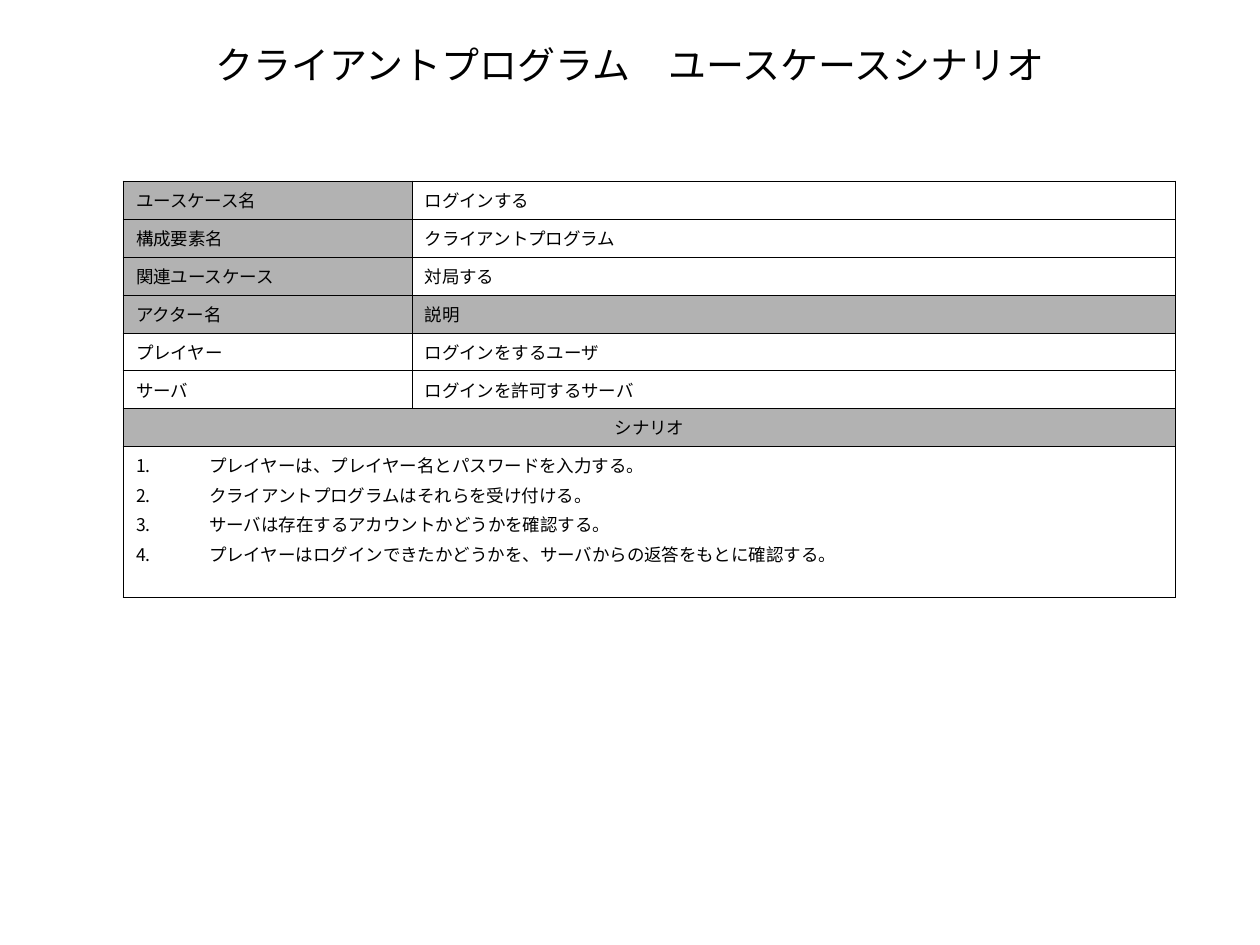
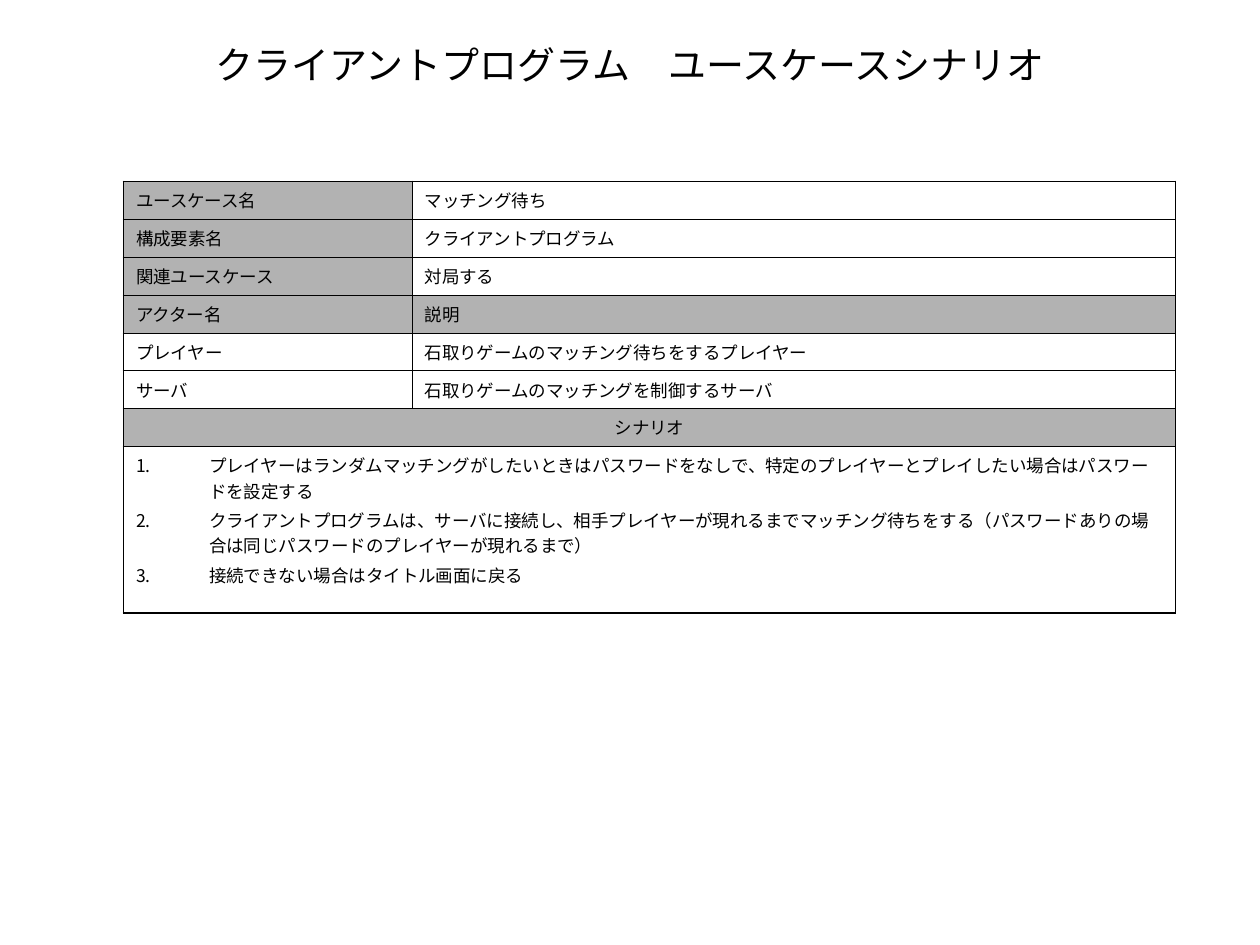
"""Build two use case scenario slides, each with a title and a bordered table."""
from lxml.etree import SubElement
from pptx import Presentation
from pptx.dml.color import RGBColor
from pptx.enum.text import MSO_ANCHOR, MSO_AUTO_SIZE, PP_ALIGN
from pptx.oxml.ns import qn
from pptx.util import Inches, Pt

TITLE = "クライアントプログラム　ユースケースシナリオ"
SCENARIO_HEADING = "シナリオ"
USE_CASES = [
    {
        "name": "ログインする",
        "player": "ログインをするユーザ",
        "server": "ログインを許可するサーバ",
        "steps": [
            "プレイヤーは、プレイヤー名とパスワードを入力する。",
            "クライアントプログラムはそれらを受け付ける。",
            "サーバは存在するアカウントかどうかを確認する。",
            "プレイヤーはログインできたかどうかを、サーバからの返答をもとに確認する。",
        ],
        "steps_height": 1.2,
    },
    {
        "name": "マッチング待ち",
        "player": "石取りゲームのマッチング待ちをするプレイヤー",
        "server": "石取りゲームのマッチングを制御するサーバ",
        "steps": [
            "プレイヤーはランダムマッチングがしたいときはパスワードをなしで、"
            "特定のプレイヤーとプレイしたい場合はパスワードを設定する",
            "クライアントプログラムは、サーバに接続し、相手プレイヤーが現れるまで"
            "マッチング待ちをする（パスワードありの場合は同じパスワードのプレイヤーが現れるまで）",
            "接続できない場合はタイトル画面に戻る",
        ],
        "steps_height": 1.32,
    },
]

FONT = "Times New Roman"
BLACK, HEADER_GRAY = "000000", "B2B2B2"
THICK, THIN = 1.08, 0.45
SLIDE_SIZE = (10, 7.5)
TITLE_BOX = (0.75, 0.27, 8.5, 0.48)
TABLE_ORIGIN = (0.98, 1.44)
COLUMN_WIDTHS = (2.29, 6.06)
ROW_HEIGHT = 0.27
STEP_INDENT = 0.58


def color(hex_string):
    return RGBColor.from_string(hex_string)


def format_text(text_frame, size, alignment):
    for paragraph in text_frame.paragraphs:
        paragraph.alignment = alignment
        for run in paragraph.runs:
            run.font.name = FONT
            run.font.size = Pt(size)
            run.font.color.rgb = color(BLACK)


def add_title(slide):
    title = slide.shapes.title
    title.left, title.top, title.width, title.height = map(Inches, TITLE_BOX)
    frame = title.text_frame
    frame.text = TITLE
    frame.auto_size = MSO_AUTO_SIZE.NONE
    frame.vertical_anchor = MSO_ANCHOR.MIDDLE
    format_text(frame, 21.7, PP_ALIGN.CENTER)


def set_borders(cell, widths):
    properties = cell._tc.get_or_add_tcPr()
    for side, width in widths.items():
        line = SubElement(properties, qn(f"a:ln{side}"), w=str(int(Pt(width))))
        fill = SubElement(line, qn("a:solidFill"))
        SubElement(fill, qn("a:srgbClr"), val=BLACK)


def number_steps(text_frame):
    indent = Inches(STEP_INDENT)
    for paragraph in text_frame.paragraphs:
        properties = paragraph._p.get_or_add_pPr()
        properties.set("marL", str(indent))
        properties.set("indent", str(-indent))
        SubElement(properties, qn("a:buAutoNum"), type="arabicPeriod")


def table_rows(use_case):
    """Return each row as its cell texts and the number of gray cells."""
    return [
        (("ユースケース名", use_case["name"]), 1),
        (("構成要素名", "クライアントプログラム"), 1),
        (("関連ユースケース", "対局する"), 1),
        (("アクター名", "説明"), 2),
        (("プレイヤー", use_case["player"]), 0),
        (("サーバ", use_case["server"]), 0),
        ((SCENARIO_HEADING,), 2),
        (("\n".join(use_case["steps"]),), 0),
    ]


def add_use_case_table(slide, use_case):
    rows = table_rows(use_case)
    last_row, last_column = len(rows) - 1, len(COLUMN_WIDTHS) - 1
    heights = [ROW_HEIGHT] * last_row + [use_case["steps_height"]]
    size = (sum(COLUMN_WIDTHS), sum(heights))
    table = slide.shapes.add_table(
        len(rows), len(COLUMN_WIDTHS), *map(Inches, TABLE_ORIGIN + size)
    ).table
    table.first_row = table.horz_banding = False
    for column, width in zip(table.columns, COLUMN_WIDTHS):
        column.width = Inches(width)

    for row_index, (texts, gray_cells) in enumerate(rows):
        table.rows[row_index].height = Inches(heights[row_index])
        is_wide = len(texts) == 1
        if is_wide:
            table.cell(row_index, 0).merge(table.cell(row_index, last_column))
        for column_index in range(len(COLUMN_WIDTHS)):
            cell = table.cell(row_index, column_index)
            borders = {
                "L": THIN if column_index else THICK,
                "R": THICK if is_wide or column_index == last_column else THIN,
                "T": THIN if row_index else THICK,
                "B": THICK if row_index == last_row else THIN,
            }
            if cell.is_spanned:
                del borders["L"]
            set_borders(cell, borders)
            if column_index < gray_cells:
                cell.fill.solid()
                cell.fill.fore_color.rgb = color(HEADER_GRAY)
            else:
                cell.fill.background()
            if cell.is_spanned:
                continue
            frame = cell.text_frame
            frame.text = texts[column_index]
            is_heading = texts[column_index] == SCENARIO_HEADING
            format_text(frame, 10, PP_ALIGN.CENTER if is_heading else PP_ALIGN.LEFT)
            for paragraph in frame.paragraphs:
                paragraph.space_before = Pt(2.5)
    number_steps(table.cell(last_row, 0).text_frame)


def main():
    presentation = Presentation()
    presentation.slide_width, presentation.slide_height = map(Inches, SLIDE_SIZE)
    title_only = presentation.slide_layouts.get_by_name("Title Only")
    for use_case in USE_CASES:
        slide = presentation.slides.add_slide(title_only)
        add_title(slide)
        add_use_case_table(slide, use_case)
    presentation.save("out.pptx")


if __name__ == "__main__":
    main()
